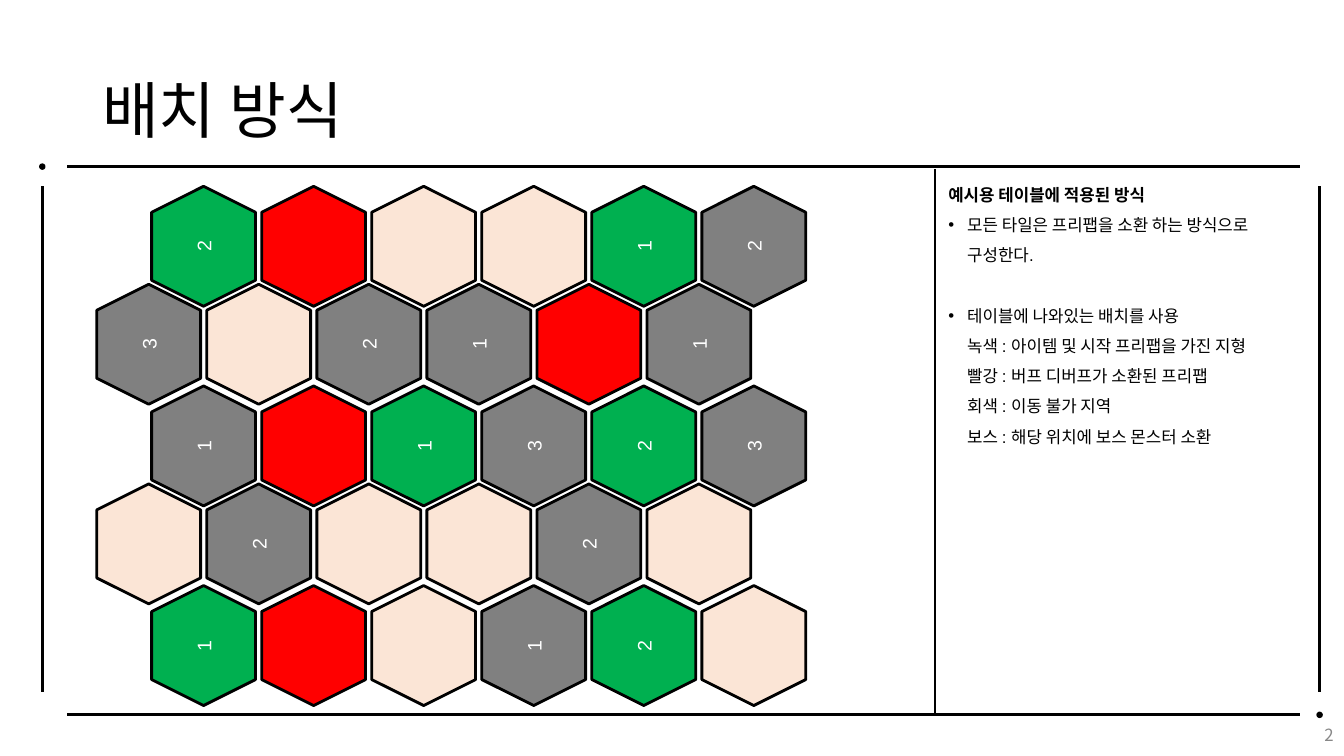
import lxml.etree
import pptx
import pptx.dml.color
import pptx.enum.shapes
import pptx.enum.text
import pptx.oxml.ns
import pptx.util
from dataclasses import dataclass

Pt = pptx.util.Pt
qn = pptx.oxml.ns.qn
ALIGN = pptx.enum.text.PP_ALIGN
ANCHOR = pptx.enum.text.MSO_ANCHOR
SHAPE = pptx.enum.shapes.MSO_SHAPE


@dataclass(frozen=True)
class Theme:
    ink: str = "000000"
    white: str = "FFFFFF"
    muted: str = "888888"
    item: str = "00B050"
    buff: str = "FF0000"
    blocked: str = "808080"
    plain: str = "FBE5D6"
    latin: str = "Arial"
    korean: str = "Noto Sans CJK KR"
    title_size: float = 44
    tile_size: float = 14
    body_size: float = 12


def rgb(value):
    return pptx.dml.color.RGBColor.from_string(value)


class SlideBuilder:
    def __init__(self, slide, theme):
        self.slide = slide
        self.theme = theme

    def style(self, p, size, color, font, bold=False):
        for r in p.runs:
            r.font.size = Pt(size)
            r.font.color.rgb = rgb(color)
            r.font.name = font
            r.font.bold = bold
            ea = lxml.etree.SubElement(r.font._element, qn("a:ea"))
            ea.set("typeface", self.theme.korean)

    def shape(self, kind, x, y, w, h, fill, line_width):
        sp = self.slide.shapes.add_shape(kind, Pt(x), Pt(y), Pt(w), Pt(h))
        sp.shadow.inherit = False
        sp.fill.solid()
        sp.fill.fore_color.rgb = rgb(fill)
        sp.line.color.rgb = rgb(self.theme.ink)
        sp.line.width = Pt(line_width)
        return sp

    def tile(self, x, y, w, h, fill, label):
        sp = self.shape(SHAPE.HEXAGON, x, y, w, h, fill, 2)
        sp.rotation = 270
        if label:
            tf = sp.text_frame
            tf.text = label
            tf.vertical_anchor = ANCHOR.MIDDLE
            p = tf.paragraphs[0]
            p.alignment = ALIGN.CENTER
            self.style(p, self.theme.tile_size, self.theme.white, self.theme.latin)

    def dot(self, cx, cy, size=3.6):
        self.shape(SHAPE.OVAL, cx - size / 2, cy - size / 2, size, size, self.theme.ink, 1)

    def line(self, x1, y1, x2, y2, width=2.25):
        cxn = self.slide.shapes.add_connector(
            pptx.enum.shapes.MSO_CONNECTOR.STRAIGHT, Pt(x1), Pt(y1), Pt(x2), Pt(y2))
        cxn.line.color.rgb = rgb(self.theme.ink)
        cxn.line.width = Pt(width)
        lxml.etree.SubElement(cxn._element.spPr, qn("a:effectLst"))

    def textbox(self, x, y, w, h, anchor):
        tf = self.slide.shapes.add_textbox(Pt(x), Pt(y), Pt(w), Pt(h)).text_frame
        tf.word_wrap = True
        tf.vertical_anchor = anchor
        return tf

    def label(self, x, y, w, h, text, size, color, align=ALIGN.LEFT, spacing=1.0):
        tf = self.textbox(x, y, w, h, ANCHOR.MIDDLE)
        tf.text = text
        p = tf.paragraphs[0]
        p.alignment = align
        p.line_spacing = spacing
        self.style(p, size, color, self.theme.korean)

    def bullet(self, p, indent=13.5):
        pPr = p._p.get_or_add_pPr()
        pPr.set("marL", str(Pt(indent)))
        pPr.set("indent", str(-Pt(indent)))
        clr = lxml.etree.SubElement(pPr, qn("a:buClr"))
        lxml.etree.SubElement(clr, qn("a:srgbClr")).set("val", self.theme.ink)
        lxml.etree.SubElement(pPr, qn("a:buFont")).set("typeface", self.theme.latin)
        lxml.etree.SubElement(pPr, qn("a:buChar")).set("char", "•")

    def bullet_panel(self, x, y, w, h, heading, items, gap):
        """Bold heading over bulleted items; gap separates the items."""
        tf = self.textbox(x, y, w, h, ANCHOR.TOP)
        tf.auto_size = pptx.enum.text.MSO_AUTO_SIZE.SHAPE_TO_FIT_TEXT
        for i, text in enumerate([heading, *items]):
            p = tf.add_paragraph() if i else tf.paragraphs[0]
            p.text = text
            if i:
                self.bullet(p)
            p.line_spacing = 1.5
            if i > 1:
                p.space_before = Pt(gap)
            self.style(p, self.theme.body_size, self.theme.ink, self.theme.latin, bold=i == 0)


# Letter: G item, R buff, X blocked, P plain; digit: tile label
TILE_ROWS = [
    "G2 R P P G1 X2",
    "X3 P X2 X1 R X1",
    "X1 R G1 X3 G2 X3",
    "P X2 P P X2 P",
    "G1 R P X1 G2 P",
]
TILE_W, TILE_H, COLUMN_PITCH = 85.7, 74.2, 78.6
PAIR_PITCH = 142.6
ROW_STARTS = [(102.6, 138.8), (63.4, 208.8)]

HEADING = "예시용 테이블에 적용된 방식"
ITEMS = [
    "모든 타일은 프리팹을 소환 하는 방식으로\n구성한다.",
    "테이블에 나와있는 배치를 사용\n"
    "녹색 : 아이템 및 시작 프리팹을 가진 지형\n"
    "빨강 : 버프 디버프가 소환된 프리팹\n"
    "회색 : 이동 불가 지역\n"
    "보스 : 해당 위치에 보스 몬스터 소환",
]


def main():
    prs = pptx.Presentation()
    prs.slide_width, prs.slide_height = Pt(960), Pt(540)
    theme = Theme()
    page = SlideBuilder(prs.slides.add_slide(prs.slide_layouts[6]), theme)

    fills = {"G": theme.item, "R": theme.buff, "X": theme.blocked, "P": theme.plain}
    for row, codes in enumerate(TILE_ROWS):
        pair, offset = divmod(row, 2)
        left, top = ROW_STARTS[offset]
        for col, code in enumerate(codes.split()):
            page.tile(left + col * COLUMN_PITCH, top + pair * PAIR_PITCH,
                      TILE_W, TILE_H, fills[code[0]], code[1:])

    page.label(66, 28.8, 828, 104.4, "배치 방식", theme.title_size, theme.ink, spacing=0.9)

    top, bottom, left, right = 119, 510.6, 30.2, 942.6
    for y in (top, bottom):
        page.line(48.2, y, 928.8, y)
    for x in (left, right):
        page.line(x, 133.2, x, 494.6)
    page.dot(right, bottom)
    page.dot(left, top)

    page.label(743.8, 510.5, 216, 28.8, "2", theme.body_size, theme.muted, ALIGN.RIGHT)
    page.line(668.2, 121, 668.2, bottom, 1.5)
    page.bullet_panel(670.3, 121, 288, 203.8, HEADING, ITEMS, gap=21.6)

    prs.save("out.pptx")


if __name__ == "__main__":
    main()
